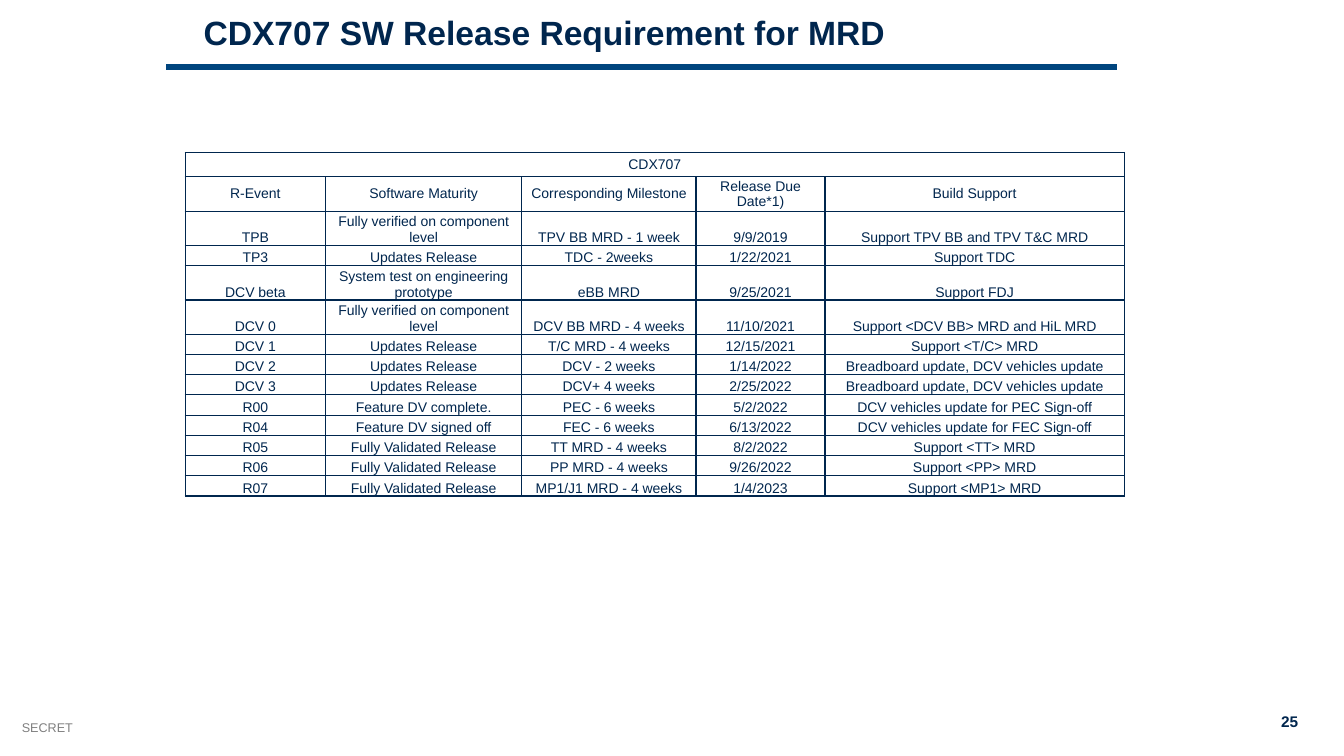
"""Build the CDX707 software release requirement slide."""
from dataclasses import dataclass

from lxml import etree
from pptx import Presentation
from pptx import util as u
from pptx.dml.color import RGBColor
from pptx.enum import shapes, text
from pptx.oxml import ns


@dataclass(frozen=True)
class Theme:
    font: str = "Arial"
    navy: str = "00264E"
    blue: str = "00457E"
    grey: str = "808080"
    title_size: float = 24
    page_size: float = 11
    table_size: float = 10
    label_size: float = 9
    rule_width: float = 4.5
    border_width: float = 1


@dataclass(frozen=True)
class Label:
    words: str
    left: float
    top: float
    width: float
    height: float
    size: float
    color: str
    bold: bool = False
    align: text.PP_ALIGN = text.PP_ALIGN.LEFT
    spacing: float = 1.0


@dataclass(frozen=True)
class Release:
    event: str
    maturity: str
    milestone: str
    due: str
    support: str
    height: float = 0.51

    def cells(self) -> tuple[str, ...]:
        return self.event, self.maturity, self.milestone, self.due, self.support


THEME = Theme()
TALL = 0.86
HEADER_ROWS = 2
COLUMN_WIDTHS = (3.53, 4.95, 4.39, 3.25, 7.54)

LABELS = (
    Label("SECRET", 0.3, 18.01, 7.62, 0.64, THEME.label_size, THEME.grey),
    Label("25", 31.98, 17.81, 0.99, 0.74, THEME.page_size, THEME.navy, True,
          text.PP_ALIGN.RIGHT),
    Label("CDX707 SW Release Requirement for MRD", 4.88, 0.3, 30.1, 1.6,
          THEME.title_size, THEME.navy, True, spacing=0.9),
)

RELEASES = (
    Release("CDX707", "", "", "", "", 0.61),
    Release("R-Event", "Software Maturity", "Corresponding Milestone",
            "Release Due Date*1)", "Build Support", 0.88),
    Release("TPB", "Fully verified on component level", "TPV BB MRD - 1 week",
            "9/9/2019", "Support TPV BB and TPV T&C MRD", TALL),
    Release("TP3", "Updates Release", "TDC - 2weeks", "1/22/2021", "Support TDC"),
    Release("DCV beta", "System test on engineering prototype", "eBB MRD",
            "9/25/2021", "Support FDJ", TALL),
    Release("DCV 0", "Fully verified on component level", "DCV BB MRD - 4 weeks",
            "11/10/2021", "Support <DCV BB> MRD and HiL MRD", TALL),
    Release("DCV 1", "Updates Release", "T/C MRD - 4 weeks", "12/15/2021",
            "Support <T/C> MRD"),
    Release("DCV 2", "Updates Release", "DCV - 2 weeks", "1/14/2022",
            "Breadboard update, DCV vehicles update"),
    Release("DCV 3", "Updates Release", "DCV+ 4 weeks", "2/25/2022",
            "Breadboard update, DCV vehicles update"),
    Release("R00", "Feature DV complete.", "PEC - 6 weeks", "5/2/2022",
            "DCV vehicles update for PEC Sign-off"),
    Release("R04", "Feature DV signed off", "FEC - 6 weeks", "6/13/2022",
            "DCV vehicles update for FEC Sign-off"),
    Release("R05", "Fully Validated Release", "TT MRD - 4 weeks", "8/2/2022",
            "Support <TT> MRD"),
    Release("R06", "Fully Validated Release", "PP MRD - 4 weeks", "9/26/2022",
            "Support <PP> MRD"),
    Release("R07", "Fully Validated Release", "MP1/J1 MRD - 4 weeks", "1/4/2023",
            "Support <MP1> MRD"),
)


def style_paragraph(p, size: float, color: str, bold: bool, align: text.PP_ALIGN) -> None:
    p.alignment = align
    p.font.name = THEME.font
    p.font.size = u.Pt(size)
    p.font.bold = bold
    p.font.color.rgb = RGBColor.from_string(color)


def add_label(slide, label: Label) -> None:
    sp = slide.shapes.add_textbox(u.Cm(label.left), u.Cm(label.top),
                                  u.Cm(label.width), u.Cm(label.height))
    tf = sp.text_frame
    tf.word_wrap = True
    p = tf.paragraphs[0]
    p.text = label.words
    p.line_spacing = label.spacing
    style_paragraph(p, label.size, label.color, label.bold, label.align)


def add_title_rule(slide) -> None:
    rule = slide.shapes.add_connector(shapes.MSO_CONNECTOR.STRAIGHT, u.Cm(4.19),
                                      u.Cm(1.68), u.Cm(28.14), u.Cm(1.68))
    rule.line.color.rgb = RGBColor.from_string(THEME.blue)
    rule.line.width = u.Pt(THEME.rule_width)
    etree.SubElement(rule._element.spPr, ns.qn("a:effectLst"))


def set_borders(cell) -> None:
    props = cell._tc.get_or_add_tcPr()
    for index, side in enumerate(("lnL", "lnR", "lnT", "lnB")):
        ln = etree.Element(ns.qn(f"a:{side}"), w=str(u.Pt(THEME.border_width)))
        fill = etree.SubElement(ln, ns.qn("a:solidFill"))
        etree.SubElement(fill, ns.qn("a:srgbClr"), val=THEME.navy)
        props.insert(index, ln)


def fill_cell(cell, words: str, anchor: text.MSO_ANCHOR) -> None:
    cell.margin_left = cell.margin_right = cell.margin_top = cell.margin_bottom = 0
    cell.vertical_anchor = anchor
    cell.fill.background()
    set_borders(cell)
    p = cell.text_frame.paragraphs[0]
    p.text = words
    style_paragraph(p, THEME.table_size, THEME.navy, False, text.PP_ALIGN.CENTER)


def add_release_table(slide) -> None:
    height = sum(release.height for release in RELEASES)
    frame = slide.shapes.add_table(len(RELEASES), len(COLUMN_WIDTHS), u.Cm(4.67),
                                   u.Cm(3.84), u.Cm(sum(COLUMN_WIDTHS)), u.Cm(height))
    table = frame.table
    table.first_row = table.horz_banding = False
    for column, width in zip(table.columns, COLUMN_WIDTHS):
        column.width = u.Cm(width)
    for index, (row, release) in enumerate(zip(table.rows, RELEASES)):
        row.height = u.Cm(release.height)
        anchor = text.MSO_ANCHOR.MIDDLE if index < HEADER_ROWS else text.MSO_ANCHOR.BOTTOM
        for cell, words in zip(row.cells, release.cells()):
            fill_cell(cell, words, anchor)
    table.cell(0, 0).merge(table.cell(0, len(COLUMN_WIDTHS) - 1))


def main() -> None:
    prs = Presentation()
    prs.slide_width, prs.slide_height = u.Cm(33.87), u.Cm(19.05)
    slide = prs.slides.add_slide(prs.slide_layouts[6])
    add_title_rule(slide)
    for label in LABELS:
        add_label(slide, label)
    add_release_table(slide)
    prs.save("out.pptx")


if __name__ == "__main__":
    main()
